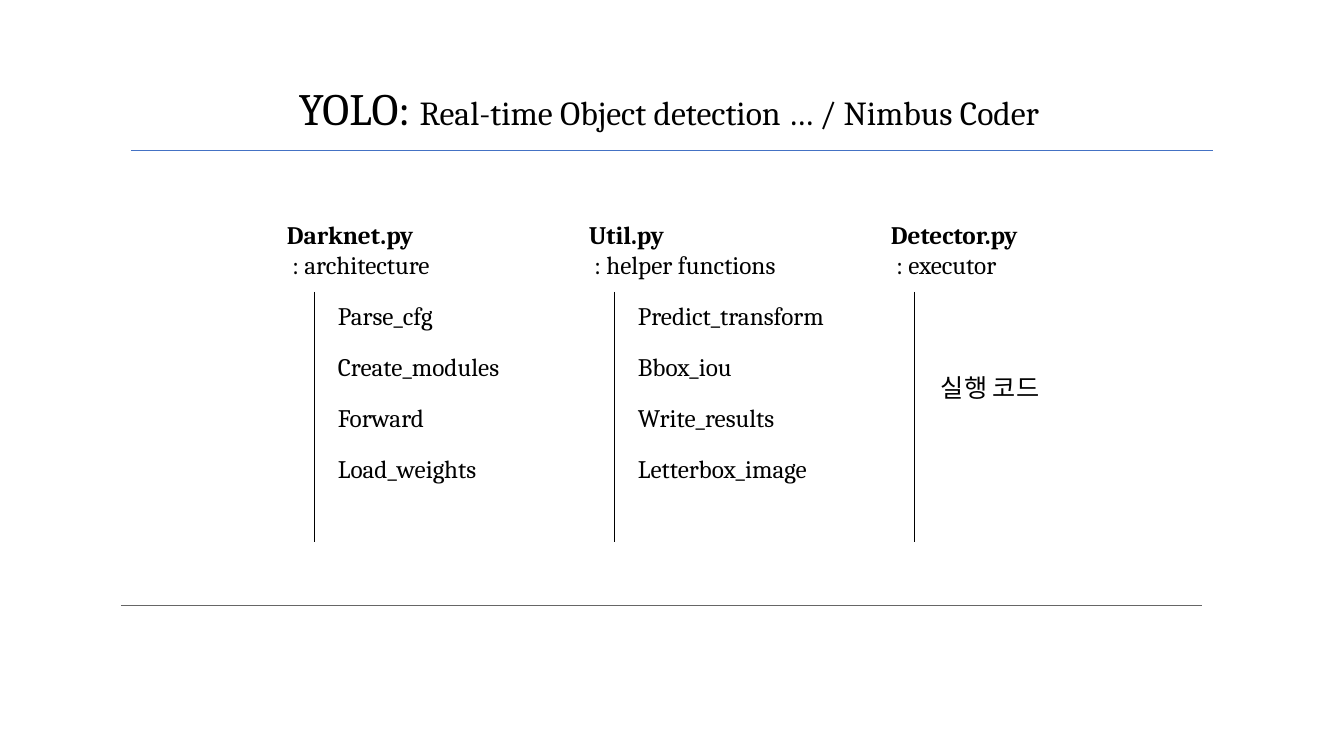
from lxml.etree import SubElement
from pptx import Presentation
from pptx.dml.color import RGBColor
from pptx.enum.shapes import MSO_CONNECTOR
from pptx.enum.text import MSO_AUTO_SIZE, PP_ALIGN
from pptx.oxml.ns import qn
from pptx.util import Emu, Pt

# Content
TITLE = [("YOLO: ", 32, False), ("Real-time Object detection … / Nimbus Coder", 24, False)]
COLUMNS = [
    {"file": "Darknet.py", "role": " : architecture", "first_top": 295, "item_left": 328,
     "items": ["Parse_cfg", "Create_modules", "Forward", "Load_weights"]},
    {"file": "Util.py", "role": " : helper functions", "first_top": 295, "item_left": 628,
     "items": ["Predict_transform", "Bbox_iou", "Write_results", "Letterbox_image"]},
    {"file": "Detector.py", "role": " : executor", "first_top": 367, "item_left": 931,
     "items": ["실행 코드"]},
]

# Style and layout, lengths in px
COLORS = {"text": "000000", "title_rule": "4472C4", "footer_rule": "666666"}
FONT = "Cambria"
BODY_SIZE = 18
EMU_PER_PX = 914400 / 100.8
HEADER_LEFT, HEADER_STEP = 277, 302
RULE_LEFT, RULE_STEP = 314, 300
ROW_STEP = 51


def px(length):
    return Emu(round(length * EMU_PER_PX))


def add_text(slide, left, top, width, height, lines, alignment=PP_ALIGN.LEFT):
    """Each line is a list of (text, size, bold) runs."""
    box = slide.shapes.add_textbox(px(left), px(top), px(width), px(height))
    frame = box.text_frame
    frame.word_wrap = True
    frame.auto_size = MSO_AUTO_SIZE.SHAPE_TO_FIT_TEXT
    for index, runs in enumerate(lines):
        paragraph = frame.paragraphs[0] if index == 0 else frame.add_paragraph()
        paragraph.alignment = alignment
        for text, size, bold in runs:
            run = paragraph.add_run()
            run.text = text
            run.font.name = FONT
            run.font.size = Pt(size)
            run.font.bold = bold
            run.font.color.rgb = RGBColor.from_string(COLORS["text"])


def add_rule(slide, start, end, color):
    rule = slide.shapes.add_connector(
        MSO_CONNECTOR.STRAIGHT, px(start[0]), px(start[1]), px(end[0]), px(end[1]))
    rule.line.color.rgb = RGBColor.from_string(COLORS[color])
    rule.line.width = Pt(0.5)
    SubElement(rule._element.spPr, qn("a:effectLst"))


def main():
    presentation = Presentation()
    presentation.slide_width, presentation.slide_height = px(1344), px(756)
    slide = presentation.slides.add_slide(presentation.slide_layouts[6])

    # Title and horizontal rules
    add_text(slide, 240, 76, 858, 65, [TITLE], PP_ALIGN.CENTER)
    add_rule(slide, (131, 150), (1213, 150), "title_rule")
    add_rule(slide, (121, 605), (1202, 605), "footer_rule")

    # One column per source file
    for index, column in enumerate(COLUMNS):
        header = [[(column["file"], BODY_SIZE, True)], [(column["role"], BODY_SIZE, False)]]
        add_text(slide, HEADER_LEFT + index * HEADER_STEP, 214, 280, 71, header)
        rule_x = RULE_LEFT + index * RULE_STEP
        add_rule(slide, (rule_x, 292), (rule_x, 542), "text")
        for row, item in enumerate(column["items"]):
            top = column["first_top"] + row * ROW_STEP
            add_text(slide, column["item_left"], top, 239, 40, [[(item, BODY_SIZE, False)]])

    presentation.save("out.pptx")


if __name__ == "__main__":
    main()
